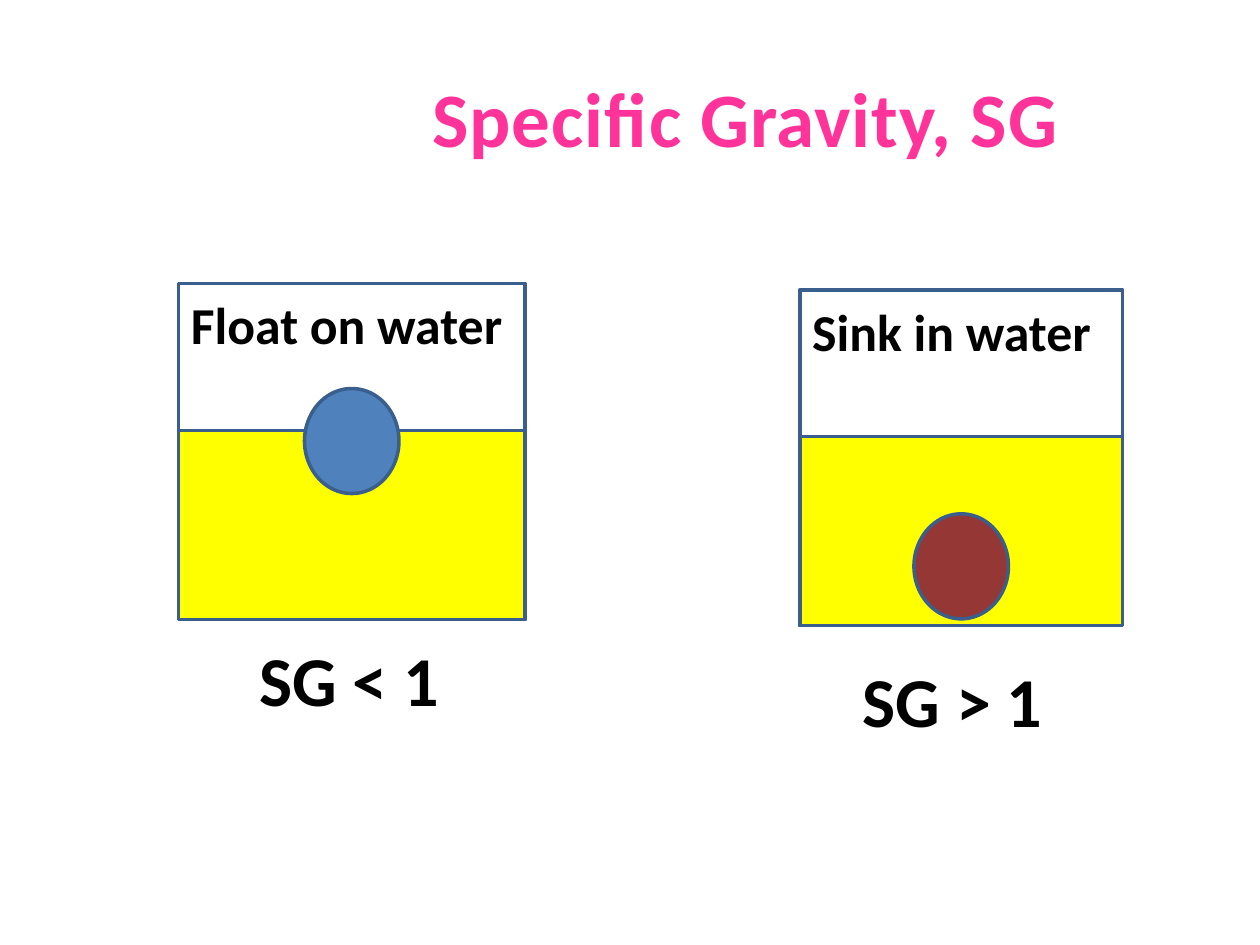
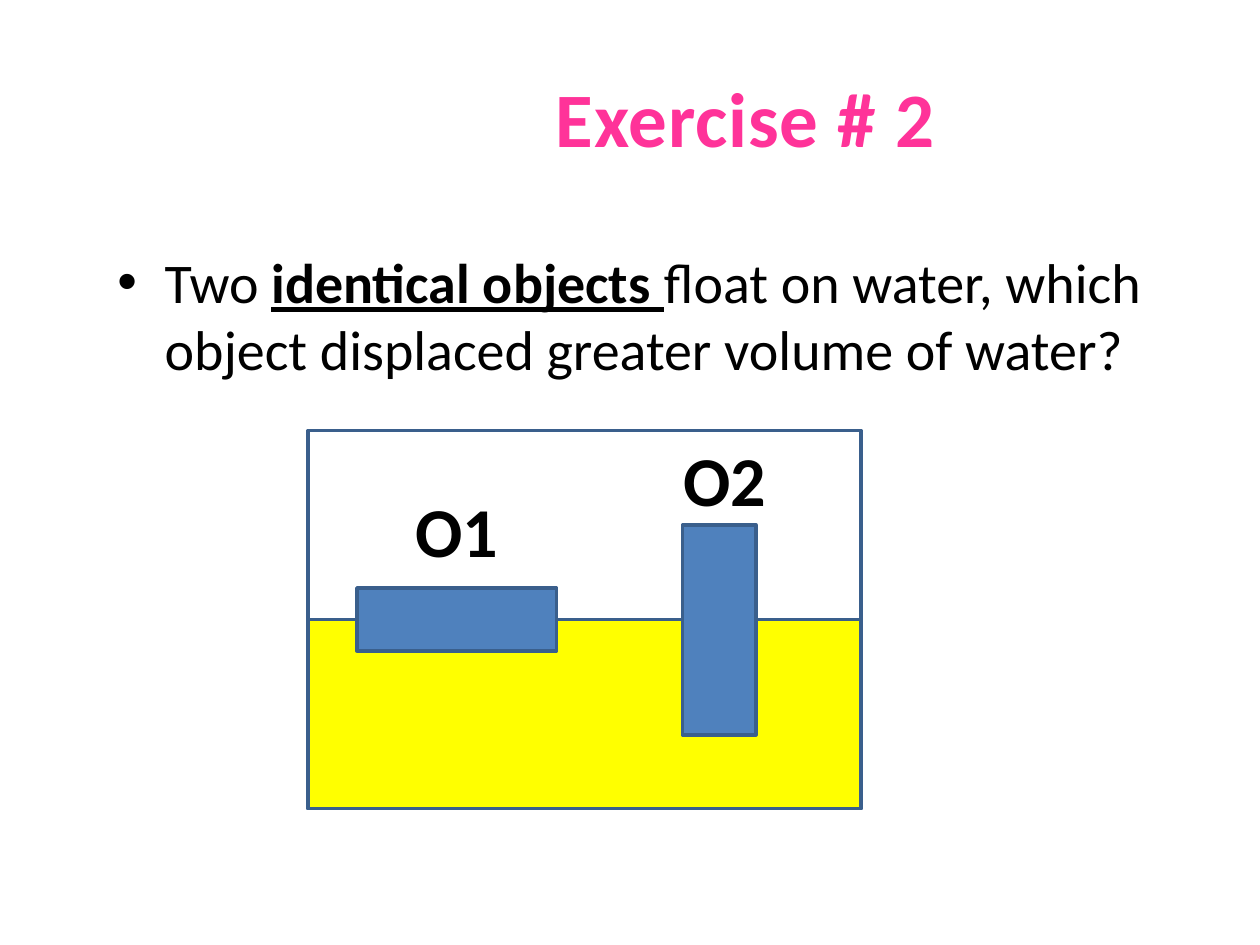
from pptx import Presentation
from pptx.dml.color import RGBColor as RGB
from pptx.enum.shapes import MSO_SHAPE as SHAPE
from pptx.enum.text import MSO_ANCHOR as ANCHOR, PP_ALIGN as ALIGN
from pptx.oxml.ns import qn
from pptx.util import Pt
from dataclasses import dataclass
from lxml import etree


@dataclass(frozen=True)
class Theme:
    font: str = "Calibri"
    title: str = "FF3399"
    text: str = "000000"
    outline: str = "3A5F8C"
    air: str = "FFFFFF"
    water: str = "FFFF00"
    light_object: str = "4F81BD"
    heavy_object: str = "953735"
    title_size: float = 44
    label_size: float = 40
    body_size: float = 32
    caption_size: float = 29.6
    outline_width: float = 2


THEME = Theme()
WATER_DEPTH = 108
BALL_WIDTH, BALL_HEIGHT = 54, 60
LABEL_HEIGHT = 50


def set_all(target, values):
    for attribute, value in values.items():
        setattr(target, attribute, value)


def add_text(slide, box, parts, size, align=ALIGN.LEFT, color=THEME.text,
             anchor=ANCHOR.TOP):
    """Write one paragraph; parts holds pairs of wording and font values."""
    frame = slide.shapes.add_textbox(*map(Pt, box)).text_frame
    set_all(frame, {"word_wrap": True, "vertical_anchor": anchor})
    paragraph = frame.paragraphs[0]
    paragraph.alignment = align
    for wording, values in parts:
        run = paragraph.add_run()
        run.text = wording
        set_all(run.font, {"name": THEME.font, "size": Pt(size), **values})
        run.font.color.rgb = RGB.from_string(color)
    return paragraph


def add_title(slide, wording):
    title = add_text(slide, (168, 21.6, 516, 90), [(wording, {"bold": True})],
                     THEME.title_size, ALIGN.CENTER, THEME.title, ANCHOR.MIDDLE)
    title.runs[0].font._element.set("spc", "50")


def add_label(slide, box, wording, align=ALIGN.CENTER, size=THEME.label_size):
    add_text(slide, box, [(wording, {"bold": True})], size, align)


def add_bullet(slide, box, parts):
    properties = add_text(slide, box, parts, THEME.body_size)._p.get_or_add_pPr()
    indent = Pt(27)
    properties.set("marL", str(indent))
    properties.set("indent", str(-indent))
    etree.SubElement(properties, qn("a:buFont")).set("typeface", "Arial")
    etree.SubElement(properties, qn("a:buChar")).set("char", "•")


def add_solid(slide, box, color, kind=SHAPE.RECTANGLE):
    solid = slide.shapes.add_shape(kind, *map(Pt, box))
    solid.shadow.inherit = False
    solid.fill.solid()
    solid.fill.fore_color.rgb = RGB.from_string(color)
    solid.line.color.rgb = RGB.from_string(THEME.outline)
    solid.line.width = Pt(THEME.outline_width)


def add_tank(slide, left, top, width, height):
    add_solid(slide, (left, top, width, height), THEME.air)
    surface = top + height - WATER_DEPTH
    add_solid(slide, (left, surface, width, WATER_DEPTH), THEME.water)


def add_ball_tank(slide, tank, caption, ball_drop, ball_color):
    left, top, width, _ = tank
    add_tank(slide, *tank)
    ball_left = left + (width - BALL_WIDTH) / 2
    add_solid(slide, (ball_left, top + ball_drop, BALL_WIDTH, BALL_HEIGHT),
              ball_color, SHAPE.OVAL)
    add_label(slide, (left, top + 2, width, LABEL_HEIGHT), caption,
              ALIGN.LEFT, THEME.caption_size)


def build_gravity(slide):
    add_title(slide, "Specific Gravity, SG")
    # Floating ball
    add_label(slide, (90, 360, 228, LABEL_HEIGHT), "SG < 1 ")
    add_ball_tank(slide, (102, 162, 198, 192), "Float on water", 60,
                  THEME.light_object)
    # Sunken ball
    add_label(slide, (486, 372, 132, LABEL_HEIGHT), "SG > 1", ALIGN.LEFT)
    add_ball_tank(slide, (457, 165.6, 184.5, 192), "Sink in water", 128,
                  THEME.heavy_object)


def build_exercise(slide):
    add_title(slide, "Exercise # 2")
    # Question
    add_bullet(slide, (60, 138, 624, 90), [
        ("Two ", {}),
        ("identical objects ", {"bold": True, "underline": True}),
        ("float on water, which object displaced greater volume of water?", {}),
    ])
    # Tank with the two floating objects
    add_tank(slide, 176, 246, 316, 216)
    floating_objects = [
        ("O1", (204, 336, 114, 36), (213, 275)),
        ("O2", (390, 300, 42, 120), (366, 246)),
    ]
    for name, box, label_corner in floating_objects:
        add_solid(slide, box, THEME.light_object)
        add_label(slide, (*label_corner, 96, LABEL_HEIGHT), name)


def main():
    deck = Presentation()
    set_all(deck, {"slide_width": Pt(720), "slide_height": Pt(540)})
    blank = deck.slide_layouts[6]
    for build in (build_gravity, build_exercise):
        build(deck.slides.add_slide(blank))
    deck.save("out.pptx")


if __name__ == "__main__":
    main()
